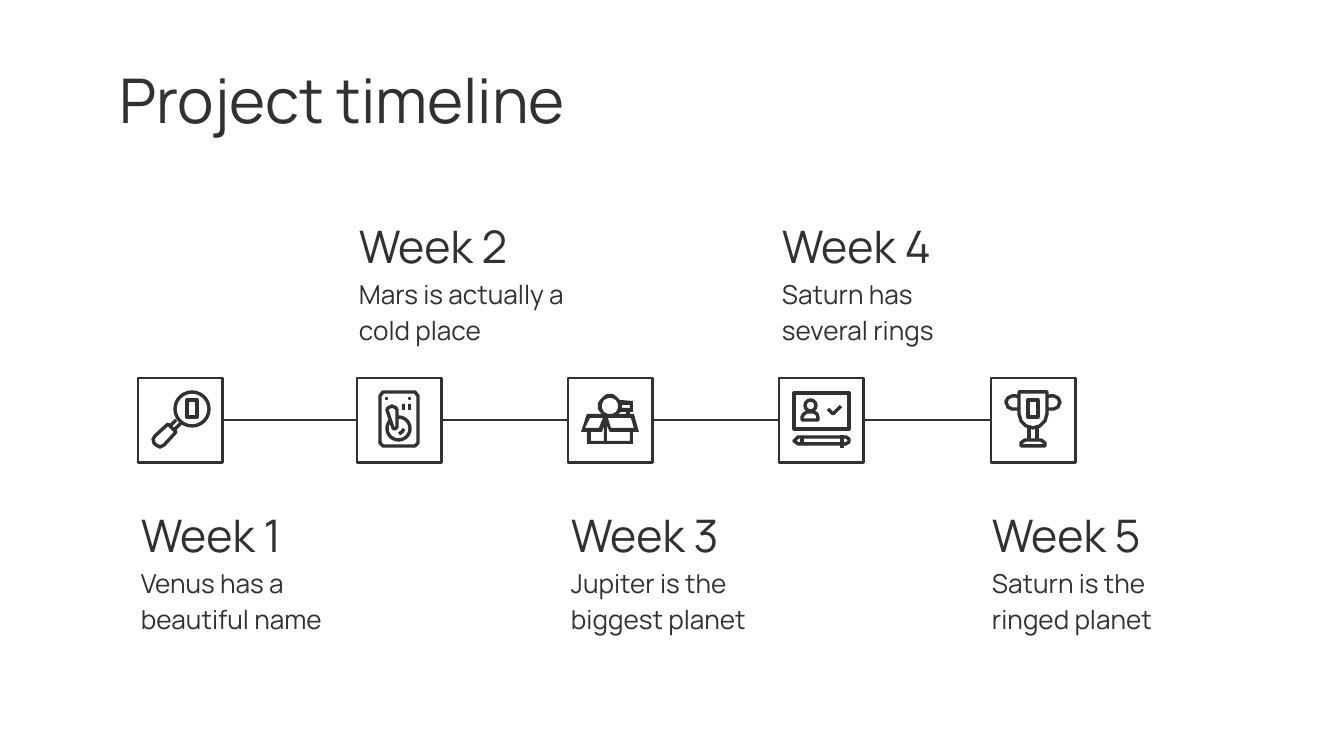
"""Build a five-week project timeline slide."""
from dataclasses import dataclass
from math import cos, pi, sin
from typing import Optional, Union

from lxml.etree import SubElement
from pptx import Presentation
from pptx.dml.color import RGBColor
from pptx.enum.shapes import MSO_CONNECTOR as CONN, MSO_SHAPE as SHAPE
from pptx.enum.text import MSO_ANCHOR as ANCHOR
from pptx.oxml.ns import qn
from pptx.util import Emu, Pt

PX = 914400 / 134.4
INK, PAPER, FONT = "313131", "FFFFFF", "Manrope"
BOX, BOX_TOP, INSET = 85, 378, 13
HEAD_H, DESC_H, ABOVE, BELOW = 71, 65, 206, 495
LINE_W, ICON_W = 1.5, 1.8
Points = tuple[tuple[float, float], ...]


@dataclass(frozen=True)
class Preset:
    """A preset icon part, placed relative to its box."""
    kind: SHAPE
    x: int
    y: int
    w: int
    h: int
    fill: Optional[str] = None
    line: Optional[str] = INK


@dataclass(frozen=True)
class Outline:
    """One or more contours, placed relative to a box."""
    contours: tuple[Points, ...]
    closed: bool = False
    fill: Optional[str] = None
    line: Optional[str] = INK


Part = Union[Preset, Outline]


@dataclass(frozen=True)
class Week:
    """One stop of the timeline."""
    x: int
    text_x: int
    text_y: int
    text_w: int
    desc: str
    icon: tuple[Part, ...]


def px(n: float) -> Emu:
    """Turn pixels into EMU."""
    return Emu(round(n * PX))


def color(code: str) -> RGBColor:
    """Turn a hex string into a colour."""
    return RGBColor.from_string(code)


def style(sp, fill: Optional[str], line: Optional[str], width: float) -> None:
    """Set the fill and outline of a shape and remove its shadow."""
    sp.shadow.inherit = False
    if fill:
        sp.fill.solid()
        sp.fill.fore_color.rgb = color(fill)
    else:
        sp.fill.background()
    if line:
        sp.line.color.rgb = color(line)
        sp.line.width = Pt(width)
    else:
        sp.line.fill.background()


def add_text(s, text: str, x: int, y: int, w: int, h: int, *, size: int,
             anchor=ANCHOR.TOP, spacing: Optional[float] = None) -> None:
    """Add a wrapped text box."""
    tf = s.shapes.add_textbox(px(x), px(y), px(w), px(h)).text_frame
    tf.word_wrap = True
    tf.vertical_anchor = anchor
    tf.margin_left = tf.margin_right = tf.margin_top = tf.margin_bottom = px(INSET)
    p = tf.paragraphs[0]
    if spacing:
        p.line_spacing = spacing
    r = p.add_run()
    r.text = text
    r.font.name, r.font.size = FONT, Pt(size)
    r.font.color.rgb = color(INK)


def add_line(s, x1: float, y1: float, x2: float, y2: float, width: float) -> None:
    """Add a straight connector."""
    c = s.shapes.add_connector(CONN.STRAIGHT, px(x1), px(y1), px(x2), px(y2))
    c.line.color.rgb = color(INK)
    c.line.width = Pt(width)
    SubElement(c._element.spPr, qn("a:effectLst"))


def add_preset(s, part: Preset, x: int, y: int, width: float) -> None:
    """Add a preset shape relative to an origin."""
    sp = s.shapes.add_shape(part.kind, px(x + part.x), px(y + part.y),
                            px(part.w), px(part.h))
    style(sp, part.fill, part.line, width)


def add_outline(s, part: Outline, x: int, y: int) -> None:
    """Add a connector or freeform relative to an origin."""
    first, *others = [[(x + a, y + b) for a, b in c] for c in part.contours]
    if len(first) == 2:
        add_line(s, *first[0], *first[1], ICON_W)
        return
    fb = s.shapes.build_freeform(*first[0], scale=PX)
    fb.add_line_segments(first[1:], close=part.closed)
    for contour in others:
        fb.move_to(*contour[0])
        fb.add_line_segments(contour[1:], close=part.closed)
    style(fb.convert_to_shape(), part.fill, part.line, ICON_W)


def path_of(*points: tuple[int, int], closed: bool = False,
            fill: Optional[str] = None) -> Outline:
    """Make a stroke from its points."""
    return Outline((points,), closed, fill)


def mirror(part: Outline) -> Outline:
    """Flip an outline left to right within its box."""
    return Outline(tuple(tuple((BOX - 1 - a, b) for a, b in c) for c in part.contours))


def arc(x: int, y: int, r: int, start: int, end: int) -> Points:
    """List points of an arc, with clockwise angles in degrees."""
    return tuple((x + r * cos(a * pi / 180), y + r * sin(a * pi / 180))
                 for a in range(start, end + 1, 15))


def ring(x: int, y: int, size: int) -> Preset:
    """Make an outlined circle."""
    return Preset(SHAPE.OVAL, x, y, size, size)


def solid(kind: SHAPE, x: int, y: int, w: int, h: int) -> Preset:
    """Make a filled part without outline."""
    return Preset(kind, x, y, w, h, INK, None)


CUP_HANDLE = path_of((28, 19), (25, 18), (21, 18), (17, 20), (15, 24), (17, 29),
                     (21, 31), (28, 31))
MAGNIFIER = (
    ring(37, 14, 34), Preset(SHAPE.RECTANGLE, 49, 22, 10, 17),
    path_of((33, 47), (38, 42)), path_of((37, 51), (43, 45)),
    path_of((30, 46), (38, 54), (26, 67), (22, 69), (18, 67), (16, 65), (15, 61),
            (17, 58), closed=True))
DRIVE = (
    path_of((26, 14), (58, 14), (61, 18), (61, 65), (58, 68), (26, 68), (23, 65),
            (23, 18), closed=True),
    ring(30, 39, 23), path_of((47, 51), (45, 54), (42, 56)),
    path_of((30, 32), (31, 30), (35, 28), (39, 30), (40, 32), (40, 49), (38, 51),
            (36, 50), closed=True, fill=PAPER),
    *(solid(SHAPE.OVAL, x, 19, 3, 3) for x in (28, 51)),
    *(solid(SHAPE.RECTANGLE, x, 26, 3, 6) for x in (45, 51)))
OPEN_BOX = (Outline((
    (*arc(42, 28, 12, 135, 330), (65, 23), (65, 34), (62, 34), (62, 36), (66, 36),
     (71, 54), (65, 54), (65, 66), (19, 66), (19, 54), (13, 54), (19, 36)),
    arc(42, 28, 8, 0, 345),
    ((62, 27), (62, 30), (54, 30), (54, 27)),
    ((58, 34), (58, 36), (50, 36), (53, 34)),
    ((35, 40), (31, 50), (17, 50), (22, 40)),
    ((63, 40), (66, 50), (43, 50), (40, 40)),
    ((36, 48), (36, 63), (23, 63), (23, 54), (34, 54)),
    ((39, 48), (42, 54), (62, 54), (62, 63), (39, 63))), True, INK, None),)
BOARD = (
    Preset(SHAPE.RECTANGLE, 15, 15, 55, 36), ring(26, 22, 11),
    path_of((23, 42), (23, 39), (25, 36), (28, 34), (35, 34), (38, 36), (39, 39),
            (39, 42), closed=True),
    path_of((49, 31), (54, 36), (62, 28)),
    path_of((15, 63), (19, 59), (67, 59), (70, 61), (70, 64), (67, 66), (19, 66),
            closed=True),
    path_of((23, 59), (23, 66)), path_of((63, 57), (63, 70)))
TROPHY = (
    path_of((28, 14), (56, 14), (56, 36), (54, 43), (49, 48), (42, 50), (35, 48),
            (30, 43), (28, 36), closed=True),
    CUP_HANDLE, mirror(CUP_HANDLE), Preset(SHAPE.RECTANGLE, 37, 22, 10, 17),
    path_of((38, 50), (38, 62)), path_of((46, 50), (46, 62)),
    path_of((30, 68), (30, 65), (34, 62), (50, 62), (54, 65), (54, 68), closed=True))
WEEKS = (
    Week(138, 128, BELOW, 280, "Venus has a beautiful name", MAGNIFIER),
    Week(357, 346, ABOVE, 238, "Mars is actually a cold place", DRIVE),
    Week(568, 558, BELOW, 238, "Jupiter is the biggest planet", OPEN_BOX),
    Week(779, 769, ABOVE, 238, "Saturn has several rings", BOARD),
    Week(991, 979, BELOW, 238, "Saturn is the ringed planet", TROPHY))


def add_week(s, number: int, week: Week) -> None:
    """Draw the box, icon and texts of one week."""
    add_preset(s, Preset(SHAPE.RECTANGLE, 0, 0, BOX, BOX), week.x, BOX_TOP, LINE_W)
    for part in week.icon:
        if isinstance(part, Preset):
            add_preset(s, part, week.x, BOX_TOP, ICON_W)
        else:
            add_outline(s, part, week.x, BOX_TOP)
    x, y, w = week.text_x, week.text_y, week.text_w
    add_text(s, f"Week {number}", x, y, w, HEAD_H, size=24)
    add_text(s, week.desc, x, y + HEAD_H, w, DESC_H, size=14,
             anchor=ANCHOR.MIDDLE, spacing=1.15)


prs = Presentation()
prs.slide_width, prs.slide_height = px(1344), px(756)
slide = prs.slides.add_slide(prs.slide_layouts[6])
add_text(slide, "Project timeline", 106, 56, 933, 85, size=33, anchor=ANCHOR.MIDDLE)
for n, stop in enumerate(WEEKS, 1):
    add_week(slide, n, stop)
MID = BOX_TOP + BOX // 2
for left, right in zip(WEEKS, WEEKS[1:]):
    add_line(slide, left.x + BOX, MID, right.x, MID, LINE_W)
prs.save("out.pptx")
